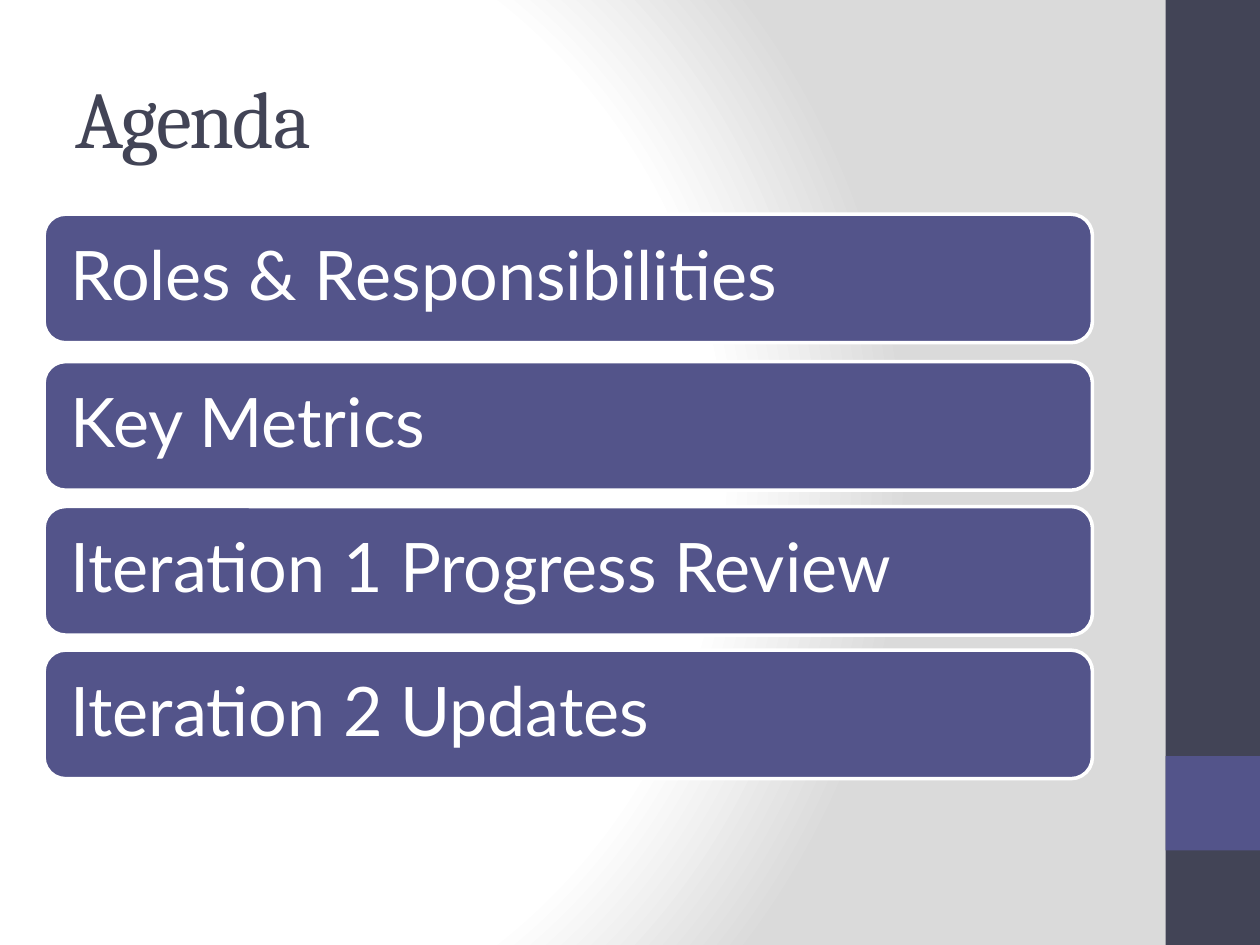
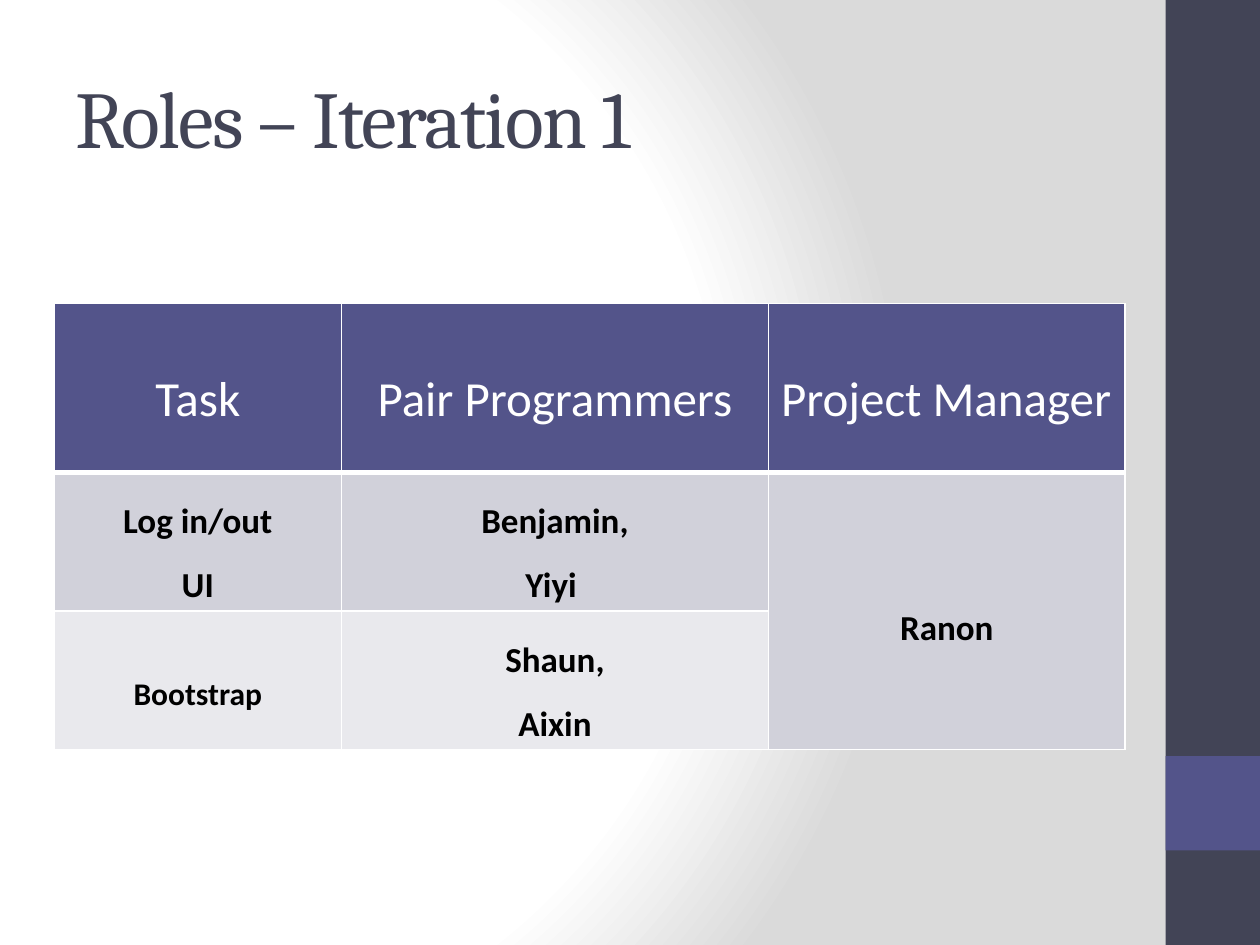
from lxml import etree
from pptx import Presentation
from pptx.dml.color import RGBColor
from pptx.enum.shapes import MSO_SHAPE
from pptx.enum.text import MSO_ANCHOR, PP_ALIGN
from pptx.oxml import parse_xml
from pptx.oxml.ns import nsdecls, qn
from pptx.util import Inches, Pt

RECT, ROUNDED = MSO_SHAPE.RECTANGLE, MSO_SHAPE.ROUNDED_RECTANGLE
MIDDLE = MSO_ANCHOR.MIDDLE
LEFT, CENTER = PP_ALIGN.LEFT, PP_ALIGN.CENTER

# Shared colours and fonts
NAVY, PURPLE, WHITE, BLACK = "424456", "53548A", "FFFFFF", "000000"
BACKDROP_GREY, ROW_DARK, ROW_LIGHT = "DADADA", "D1D1DA", "E9E9ED"
TITLE_FONT, BAR_FONT, TABLE_FONT = "Cambria", "Lato", "Calibri"

# Agenda entries with the top of each bar
AGENDA = [
    ("Roles & Responsibilities", 1.7),
    ("Key Metrics", 2.87),
    ("Iteration 1 Progress Review", 4.02),
    ("Iteration 2 Updates", 5.16),
]

# Roles table: lines of text, size and line spacing of each body cell
HEADERS = [("Task", CENTER), ("Pair Programmers", CENTER), ("Project Manager", LEFT)]
ROLES = [
    [(["Log in/out", "UI"], 20, 1.5), (["Benjamin,", "Yiyi "], 20, 1.5), (["Ranon"], 20, 2)],
    [(["Bootstrap"], 18, 2.5), (["Shaun,", "Aixin"], 20, 1.5)],
]
COLUMN_WIDTHS = [2.28, 3.39, 2.83]
ROW_HEIGHTS = [1.34, 1.05, 1.05]


def color(hex_string):
    return RGBColor.from_string(hex_string)


def paint_backdrop(master):
    """Give every slide the round white-to-grey gradient."""
    master.background.fill.solid()
    solid = next(master.element.iter(qn("p:bgPr"))).find(qn("a:solidFill"))
    stops = "".join(
        f'<a:gs pos="{percent * 1000}"><a:srgbClr val="{shade}"/></a:gs>'
        for percent, shade in [(0, WHITE), (75, WHITE), (100, BACKDROP_GREY)]
    )
    gradient = parse_xml(
        f'<a:gradFill {nsdecls("a")} rotWithShape="1"><a:gsLst>{stops}</a:gsLst>'
        '<a:path path="circle"><a:fillToRect l="20000" t="50000" r="100000" b="50000"/>'
        "</a:path></a:gradFill>"
    )
    solid.getparent().replace(solid, gradient)


def add_run(paragraph, text, font, size, shade, bold=False):
    run = paragraph.add_run()
    run.text = text
    run.font.name = font
    run.font.size = Pt(size)
    run.font.bold = bold
    run.font.color.rgb = color(shade)
    return run


def add_block(slide, kind, left, top, width, height, fill):
    block = slide.shapes.add_shape(
        kind, Inches(left), Inches(top), Inches(width), Inches(height)
    )
    block.shadow.inherit = False
    block.fill.solid()
    block.fill.fore_color.rgb = color(fill)
    block.line.fill.background()
    return block


def add_titled_slide(prs, title):
    """Blank slide with the side band, its accent square and the title."""
    slide = prs.slides.add_slide(prs.slide_layouts[6])
    add_block(slide, RECT, 9.25, 0, 0.75, 7.5, NAVY)
    add_block(slide, RECT, 9.25, 6, 0.75, 0.75, PURPLE)
    heading = slide.shapes.add_textbox(
        Inches(0.5), Inches(0.3), Inches(8.33), Inches(1.25)
    ).text_frame
    heading.word_wrap = True
    heading.vertical_anchor = MIDDLE
    run = add_run(heading.paragraphs[0], title, TITLE_FONT, 46, NAVY)
    run.font._element.set("spc", "-100")
    return slide


def add_agenda_bar(slide, topic, top):
    bar = add_block(slide, ROUNDED, 0.35, top, 8.32, 1.02, PURPLE)
    bar.line.color.rgb = color(WHITE)
    bar.line.width = Pt(2)
    frame = bar.text_frame
    frame.word_wrap = True
    frame.vertical_anchor = MIDDLE
    frame.margin_left = frame.margin_right = Inches(0.16)
    frame.margin_top = frame.margin_bottom = Inches(0.16)
    paragraph = frame.paragraphs[0]
    paragraph.alignment = LEFT
    paragraph.line_spacing = 0.9
    add_run(paragraph, topic, BAR_FONT, 39, WHITE)


def style_cell(cell, fill, top_width=1, bottom_width=1):
    """Fill the cell and draw its white borders, widths in points."""
    cell.fill.solid()
    cell.fill.fore_color.rgb = color(fill)
    properties = cell._tc.get_or_add_tcPr()
    widths = [("lnL", 1), ("lnR", 1), ("lnT", top_width), ("lnB", bottom_width)]
    for position, (side, width) in enumerate(widths):
        border = etree.Element(qn(f"a:{side}"), w=str(Pt(width)))
        line_fill = etree.SubElement(border, qn("a:solidFill"))
        etree.SubElement(line_fill, qn("a:srgbClr"), val=WHITE)
        properties.insert(position, border)


def write_cell(cell, lines, size, spacing, shade, bold=False, alignment=CENTER):
    frame = cell.text_frame
    for index, line in enumerate(lines):
        paragraph = frame.add_paragraph() if index else frame.paragraphs[0]
        paragraph.alignment = alignment
        paragraph.line_spacing = spacing
        add_run(paragraph, line, TABLE_FONT, size, shade, bold)


def add_roles_table(slide):
    table = slide.shapes.add_table(
        len(ROW_HEIGHTS), len(COLUMN_WIDTHS), Inches(0.43), Inches(2.41),
        Inches(sum(COLUMN_WIDTHS)), Inches(sum(ROW_HEIGHTS)),
    ).table
    table.horz_banding = False
    for column, width in zip(table.columns, COLUMN_WIDTHS):
        column.width = Inches(width)
    for row, height in zip(table.rows, ROW_HEIGHTS):
        row.height = Inches(height)

    # Header row, with a heavier rule below
    for column, (label, alignment) in enumerate(HEADERS):
        cell = table.cell(0, column)
        style_cell(cell, PURPLE, bottom_width=3)
        write_cell(cell, [label], 28, 2, WHITE, alignment=alignment)

    # Body rows; the manager covers both tasks
    manager = table.cell(1, 2)
    manager.merge(table.cell(2, 2))
    manager.margin_top = Inches(0.73)
    for row, (fill, top_width) in enumerate([(ROW_DARK, 3), (ROW_LIGHT, 1)], start=1):
        for column in range(len(COLUMN_WIDTHS)):
            style_cell(table.cell(row, column), fill, top_width)
        for column, (lines, size, spacing) in enumerate(ROLES[row - 1]):
            write_cell(table.cell(row, column), lines, size, spacing, BLACK, bold=True)


def main():
    prs = Presentation()
    prs.slide_width, prs.slide_height = Inches(10), Inches(7.5)
    paint_backdrop(prs.slide_master)

    # Agenda
    agenda = add_titled_slide(prs, "Agenda")
    for topic, top in AGENDA:
        add_agenda_bar(agenda, topic, top)

    # Roles
    roles = add_titled_slide(prs, "Roles – Iteration 1")
    add_roles_table(roles)

    prs.save("out.pptx")


if __name__ == "__main__":
    main()
